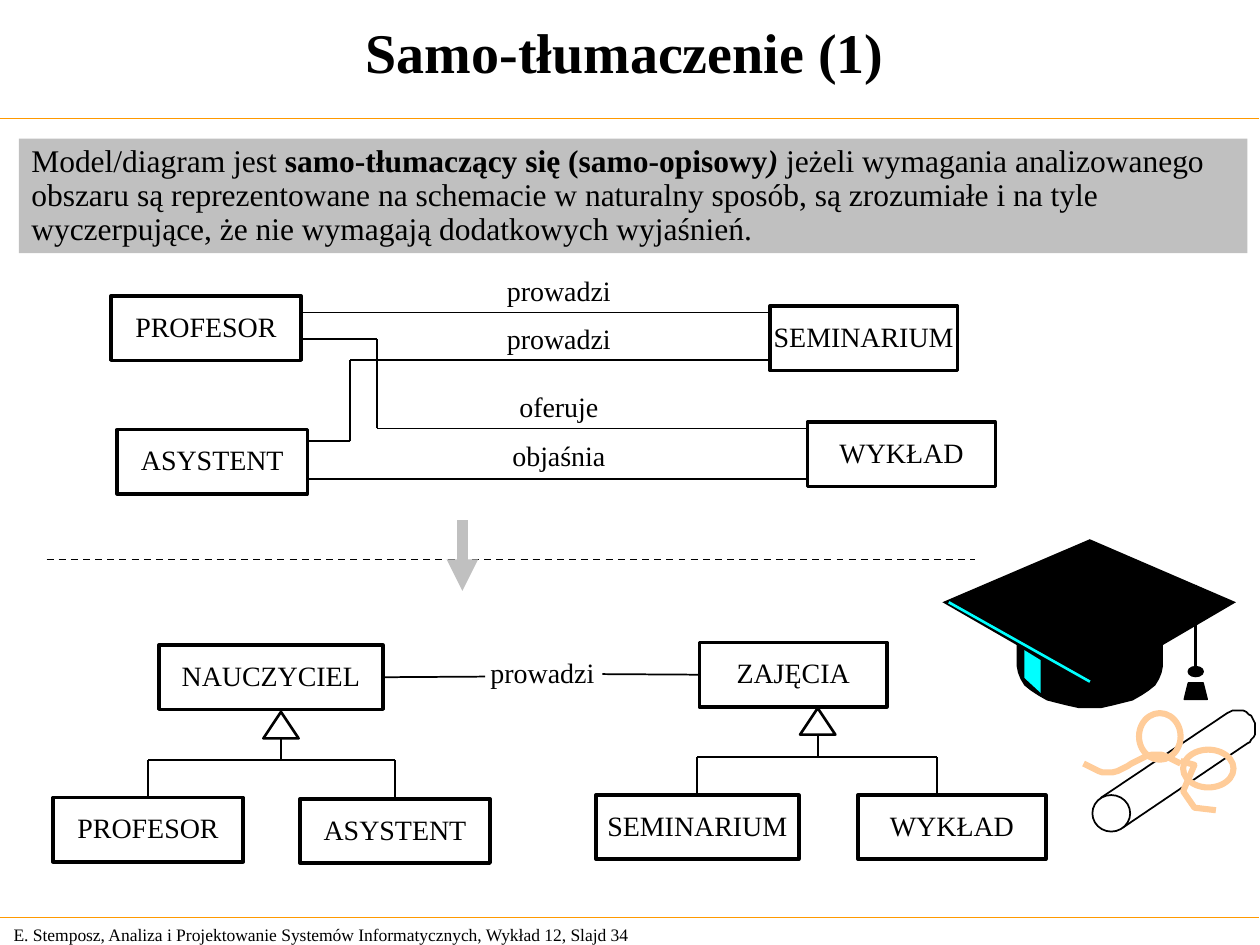
import itertools
import math

from lxml import etree
from pptx import Presentation
from pptx import util as u
from pptx.dml.color import RGBColor
from pptx.enum import dml, shapes, text
from pptx.oxml.ns import qn

deck = Presentation()
deck.slide_width, deck.slide_height = u.Inches(10), u.Inches(7.5)
slide = deck.slides.add_slide(deck.slide_layouts[5])
items = slide.shapes
CELL = deck.slide_width // 1000  # grid of 1000 columns by 750 rows
BOX_H = 51
color = RGBColor.from_string
preset = shapes.MSO_SHAPE


def write(shape, parts, size, align=text.PP_ALIGN.CENTER, wrap=True, spacing=0.9):
    """Fill a shape with (words, bold, italic) runs in one paragraph."""
    frame = shape.text_frame
    frame.word_wrap = wrap
    frame.auto_size = text.MSO_AUTO_SIZE.NONE
    frame.vertical_anchor = text.MSO_ANCHOR.MIDDLE
    paragraph = frame.paragraphs[0]
    paragraph.alignment, paragraph.line_spacing = align, spacing
    for words, bold, italic in parts:
        run = paragraph.add_run()
        run.text = words
        run.font.name, run.font.size = "Times New Roman", u.Pt(size)
        run.font.bold, run.font.italic = bold, italic
        run.font.color.rgb = color("000000")


def connect(start, end, width=1, hue="000000"):
    line = items.add_connector(shapes.MSO_CONNECTOR.STRAIGHT,
                               *(int(CELL * v) for v in (*start, *end)))
    line.line.width, line.line.color.rgb = u.Pt(width), color(hue)
    etree.SubElement(line._element.spPr, qn("a:effectLst"))
    return line


# Frame of the slide: footer, rules and title
footer = items.add_textbox(CELL, 728 * CELL, 524 * CELL, 27 * CELL)
write(footer, [("E. Stemposz, Analiza i Projektowanie Systemów Informatycznych, "
                "Wykład 12, Slajd 34", False, False)], 10, text.PP_ALIGN.LEFT, spacing=1)
for rule_y in (94, 728):
    connect((-1, rule_y), (999, rule_y), 0.75, "FF9900")

title = items.title
title.left, title.top, title.width, title.height = 0, -2 * CELL, 992 * CELL, 85 * CELL
write(title, [("Samo-tłumaczenie (1)", True, False)], 32, spacing=1)

# Class boxes; the lower model comes last, so its boxes stay in the dictionary
classes = {}
for name, x, y, w in [
    ("PROFESOR", 88, 235, 151), ("SEMINARIUM", 611, 243, 149),
    ("WYKŁAD", 641, 335, 149), ("ASYSTENT", 93, 341, 151),
    ("NAUCZYCIEL", 126, 512, 178), ("ZAJĘCIA", 555, 510, 149),
    ("PROFESOR", 42, 633, 151), ("ASYSTENT", 238, 634, 151),
    ("SEMINARIUM", 473, 631, 161), ("WYKŁAD", 681, 631, 149),
]:
    box = items.add_shape(preset.RECTANGLE, x * CELL, y * CELL, w * CELL, BOX_H * CELL)
    box.shadow.inherit = False
    box.fill.background()
    box.line.color.rgb, box.line.width = color("000000"), u.Pt(2)
    write(box, [(name, False, False)], 16, wrap=False)
    classes[name] = box

for role, x, y in [("prowadzi", 394, 212), ("prowadzi", 394, 250), ("oferuje", 394, 304),
                   ("objaśnia", 394, 343), ("prowadzi", 381, 515)]:
    label = items.add_textbox(x * CELL, y * CELL, 99 * CELL, 40 * CELL)
    write(label, [(role, False, False)], 16, wrap=False)

# Associations of the upper model
for route in [
    [(240, 248), (610, 248)],
    [(610, 286), (278, 286), (278, 350), (244, 350)],
    [(240, 269), (299, 269), (299, 340), (640, 340)],
    [(641, 380), (244, 380)],
]:
    for corner, following in itertools.pairwise(route):
        connect(corner, following)
connect((37, 444), (774, 444)).line.dash_style = dml.MSO_LINE.DASH

# Association and inheritance of the lower model
connect((385, 537), (304, 537)).end_connect(classes["NAUCZYCIEL"], 3)
connect((478, 535), (555, 535)).end_connect(classes["ZAJĘCIA"], 1)
for children, bar_y, stem, tip in [(("PROFESOR", "ASYSTENT"), 603, 223, 565),
                                   (("SEMINARIUM", "WYKŁAD"), 601, 649, 562)]:
    centers = [(classes[c].left + classes[c].width / 2) / CELL for c in children]
    if "WYKŁAD" in children:
        centers[1] = 743.5  # this branch lands left of the box's middle
    connect((centers[0], bar_y), (centers[1], bar_y))
    connect((stem, bar_y), (stem, tip))
    for child, center in zip(children, centers):
        branch = connect((center, bar_y), (center, classes[child].top / CELL))
        if child != "WYKŁAD":
            branch.end_connect(classes[child], 0)
    triangle = items.add_shape(preset.ISOSCELES_TRIANGLE,
                               (stem - 14) * CELL, tip * CELL, 28 * CELL, 21 * CELL)
    triangle.shadow.inherit = False
    triangle.fill.solid()
    triangle.fill.fore_color.rgb = color("FFFFFF")
    triangle.line.color.rgb, triangle.line.width = color("000000"), u.Pt(1.5)

# Graduation cap and diploma roll, with round ends worked out as arcs
half_turn = [math.pi * step / 20 for step in range(21)]
cap_rim = [(865 - 58 * math.cos(a), 529 + 33 * math.sin(a)) for a in half_turn]
far_end = [(982 + 14.5 * math.sin(a - 0.6), 578 - 14.5 * math.cos(a - 0.6))
           for a in half_turn]
ribbon_wave = [(860 + 77 * s / 20, 606 - 7 * math.sin(math.tau * (s / 20 - 0.5)))
               for s in range(21)]
ribbon_end = [(937, 604), (948, 607), (939, 628), (948, 641), (965, 643)]
for fill, outline, width, closed, points in [
    ("000000", None, 0, True, [(865, 428), (748, 478), (807, 512), *cap_rim,
                               (923, 512), (981, 478)]),
    ("00FFFF", None, 0, True, [(813, 516), (826, 524), (826, 550), (813, 538)]),
    ("FFFFFF", "000000", 1, True, [(874, 633), *far_end, (891, 657)]),
    (None, "FFCC99", 3.5, False, ribbon_wave),
    (None, "FFCC99", 3.5, False, ribbon_end),
]:
    builder = items.build_freeform(*points[0], scale=CELL)
    builder.add_line_segments(points[1:], close=closed)
    part = builder.convert_to_shape()
    part.shadow.inherit = False
    if fill:
        part.fill.solid()
        part.fill.fore_color.rgb = color(fill)
    else:
        part.fill.background()
    if outline:
        part.line.color.rgb, part.line.width = color(outline), u.Pt(width)
    else:
        part.line.fill.background()
connect((753, 478), (865, 541), 1.5, "00FFFF")
connect((949, 464), (949, 529), 0)

# Tassel, near end of the roll and the two loops of the bow
for kind, x, y, w, h, fill, outline, width in [
    (preset.OVAL, 943, 529, 12, 8, "000000", "000000", 0),
    (preset.TRAPEZOID, 940, 542, 18, 13, "000000", "000000", 1),
    (preset.OVAL, 867, 631, 30, 29, "FFFFFF", "000000", 1),
    (preset.OVAL, 904, 566, 33, 37, None, "FFCC99", 3.5),
    (preset.OVAL, 939, 595, 40, 30, None, "FFCC99", 3.5),
]:
    part = items.add_shape(kind, x * CELL, y * CELL, w * CELL, h * CELL)
    part.shadow.inherit = False
    if fill:
        part.fill.solid()
        part.fill.fore_color.rgb = color(fill)
    else:
        part.fill.background()
    part.line.color.rgb, part.line.width = color(outline), u.Pt(width)

# Step from the upper model to the lower one
step_arrow = connect((367, 413), (367, 469), 6, "C0C0C0")
etree.SubElement(step_arrow.line._get_or_add_ln(), qn("a:tailEnd"), type="triangle")

definition = items.add_shape(preset.RECTANGLE, 15 * CELL, 110 * CELL, 975 * CELL, 91 * CELL)
definition.shadow.inherit = False
definition.fill.solid()
definition.fill.fore_color.rgb = color("C0C0C0")
definition.line.fill.background()
write(definition, [
    ("Model/diagram jest ", False, False),
    ("samo-tłumaczący się (samo-opisowy", True, False),
    (")", True, True),
    (" jeżeli wymagania analizowanego obszaru są reprezentowane na schemacie w naturalny "
     "sposób, są zrozumiałe i na tyle wyczerpujące, że nie wymagają dodatkowych wyjaśnień.",
     False, False),
], 18, text.PP_ALIGN.LEFT)
definition.text_frame.vertical_anchor = text.MSO_ANCHOR.TOP

deck.save("out.pptx")
